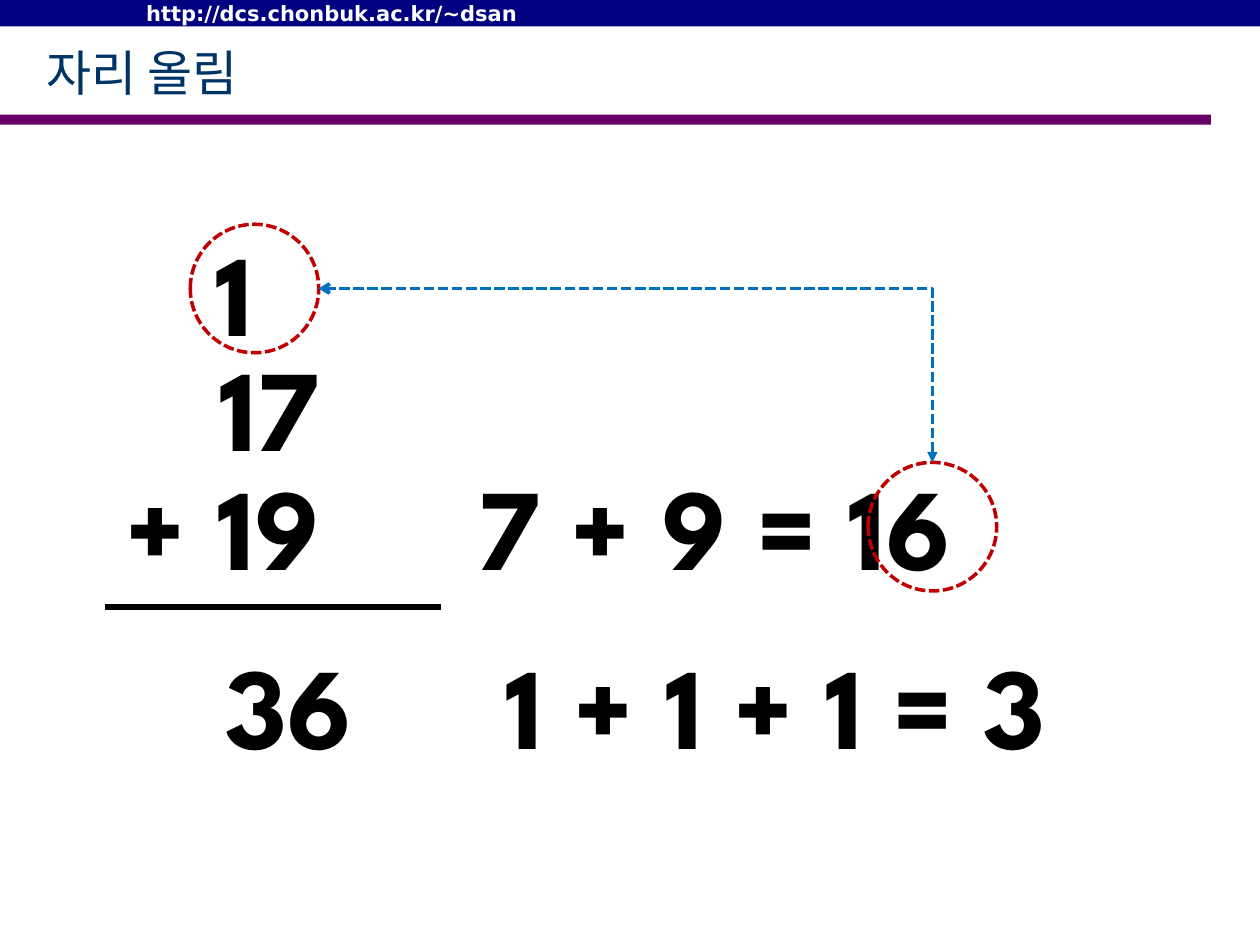
from lxml.etree import SubElement
from pptx import Presentation
from pptx.dml.color import RGBColor
from pptx.enum.dml import MSO_LINE
from pptx.enum.shapes import MSO_CONNECTOR as Connector, MSO_SHAPE as Shape
from pptx.enum.text import MSO_ANCHOR as Anchor
from pptx.oxml.ns import qn
from pptx.util import Inches, Pt

WIDTH, HEIGHT = 10, 7.5
HEADER = "http://dcs.chonbuk.ac.kr/~dsan"
TITLE = "자리 올림"
# text, left, top, width, tab stop that separates sum and explanation
SUM_ROWS = [
    ("17", 1.64, 2.62, 1.57, None),
    ("+ 19\t7 + 9 = 16", 0.9, 3.56, 7.72, 2.79),
    ("36\t1 + 1 + 1 = 3", 1.69, 4.98, 7.72, 2.22),
    ("1", 1.61, 1.7, 1.57, None),
]
ROW_HEIGHT = 1.2
RING = 1.02
CARRY_RING, RESULT_RING = (1.51, 1.78), (6.89, 3.67)

presentation = Presentation()
presentation.slide_width, presentation.slide_height = Inches(WIDTH), Inches(HEIGHT)
slide = presentation.slides.add_slide(presentation.slide_layouts[6])


def color(hex_string):
    return RGBColor.from_string(hex_string)


def add_shape(kind, left, top, width, height, fill=None):
    shape = slide.shapes.add_shape(kind, *map(Inches, (left, top, width, height)))
    shape.shadow.inherit = False
    if fill:
        shape.fill.solid()
        shape.fill.fore_color.rgb = color(fill)
        shape.line.fill.background()
    else:
        shape.fill.background()
    return shape


def write(shape, text, size, font_name, hex_string, bold=False, anchor=Anchor.MIDDLE, tab=None):
    frame = shape.text_frame
    frame.word_wrap = True
    frame.vertical_anchor = anchor
    frame.text = text
    paragraph = frame.paragraphs[0]
    if tab:
        tabs = SubElement(paragraph._p.get_or_add_pPr(), qn("a:tabLst"))
        SubElement(tabs, qn("a:tab"), pos=str(Inches(tab)), algn="l")
    for run in paragraph.runs:
        run.font.size, run.font.bold, run.font.name = Pt(size), bold, font_name
        run.font.color.rgb = color(hex_string)
        SubElement(run._r.get_or_add_rPr(), qn("a:ea"), typeface=font_name)


def add_text(left, top, width, height, *args, **kwargs):
    write(slide.shapes.add_textbox(*map(Inches, (left, top, width, height))), *args, **kwargs)


def style_line(line, hex_string, width, dashed=False):
    line.color.rgb = color(hex_string)
    line.width = Pt(width)
    if dashed:
        line.dash_style = MSO_LINE.SQUARE_DOT


def add_connector(kind, *ends):
    connector = slide.shapes.add_connector(kind, *map(Inches, ends))
    SubElement(connector._element.spPr, qn("a:effectLst"))
    return connector


# Header bar, title and rule
add_shape(Shape.RECTANGLE, 0, 0.91, 9.61, 0.08, "660066")
header = add_shape(Shape.RECTANGLE, 0, 0, WIDTH, 0.21, "000080")
write(header, HEADER, 12, "DejaVu Sans", "FFFFFF", bold=True)
header.text_frame.margin_left = Inches(1.16)
header.text_frame.paragraphs[0].alignment = 1
add_text(0.27, 0.28, 8.98, 0.58, TITLE, 28, "Noto Sans CJK KR", "003366")

# Column addition with the explanation beside it
for text, left, top, width, tab in SUM_ROWS:
    add_text(left, top, width, ROW_HEIGHT, text, 66, "League Spartan", "000000",
             bold=True, anchor=Anchor.BOTTOM, tab=tab)
sum_line = add_connector(Connector.STRAIGHT, 0.83, 4.82, 3.5, 4.82)
style_line(sum_line.line, "000000", 3.5)

# Rings around the carried digit and the result
for left, top in (CARRY_RING, RESULT_RING):
    style_line(add_shape(Shape.OVAL, left, top, RING, RING).line, "C00000", 2, dashed=True)

# Bent arrow from the top of the result ring to the right of the carry ring,
# laid out upright about its centre and then turned by 270 degrees
start_x, start_y = RESULT_RING[0] + RING / 2, RESULT_RING[1]
end_x, end_y = CARRY_RING[0] + RING, CARRY_RING[1] + RING / 2
center_x, center_y = (start_x + end_x) / 2, (start_y + end_y) / 2
half_run, half_rise = (start_x - end_x) / 2, (start_y - end_y) / 2
arrow = add_connector(Connector.ELBOW, center_x - half_rise, center_y + half_run,
                      center_x + half_rise, center_y - half_run)
properties = arrow._element.spPr
properties.find(qn("a:prstGeom")).set("prst", "bentConnector2")
properties.find(qn("a:xfrm")).set("rot", str(270 * 60000))
style_line(arrow.line, "0070C0", 2, dashed=True)
line_properties = properties.find(qn("a:ln"))
SubElement(line_properties, qn("a:headEnd"), type="triangle")
SubElement(line_properties, qn("a:tailEnd"), type="arrow")

presentation.save("out.pptx")
